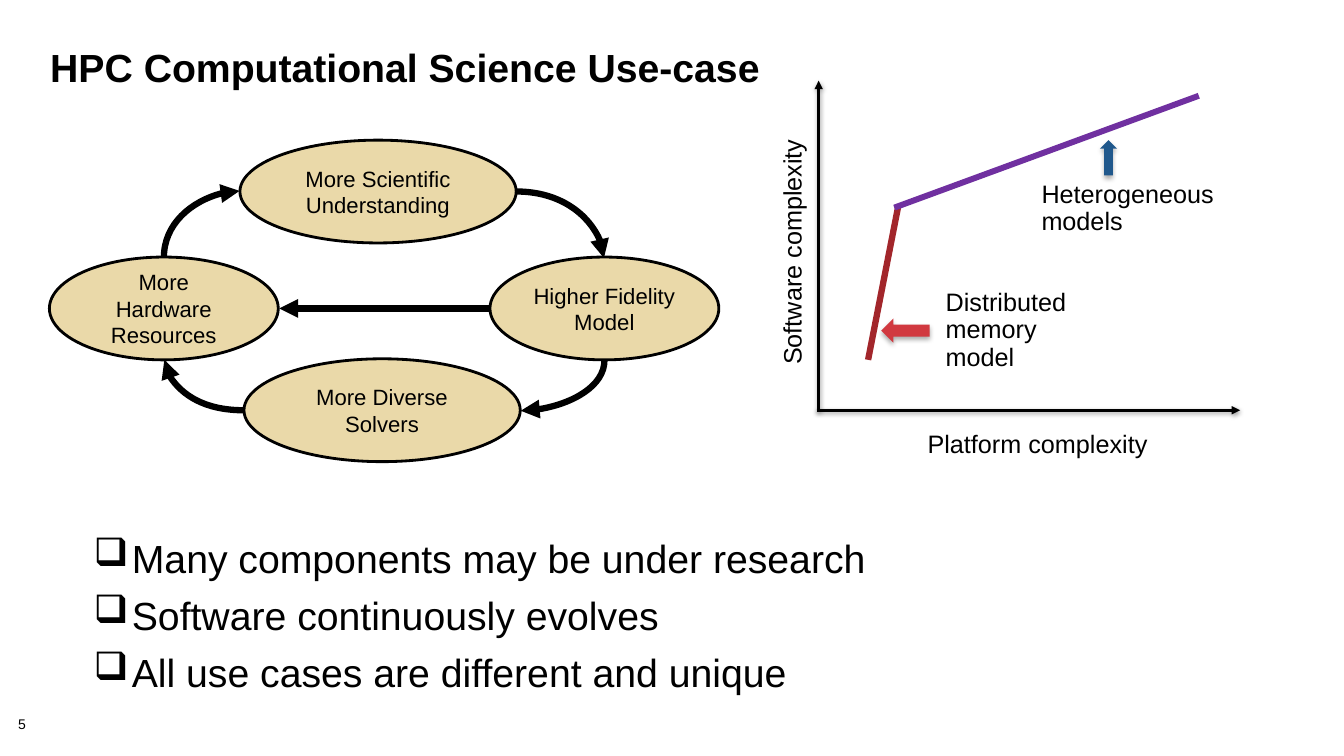
from dataclasses import dataclass, field
from typing import Any, Optional

import lxml.etree
import pptx
import pptx.dml.color
import pptx.enum.shapes
import pptx.enum.text
import pptx.oxml.ns
import pptx.util

Inches = pptx.util.Inches
Pt = pptx.util.Pt
qn = pptx.oxml.ns.qn
Shapes = pptx.enum.shapes.MSO_SHAPE
Connectors = pptx.enum.shapes.MSO_CONNECTOR
Anchor = pptx.enum.text.MSO_ANCHOR
Align = pptx.enum.text.PP_ALIGN
AutoSize = pptx.enum.text.MSO_AUTO_SIZE

COLORS = {
    "black": "000000", "sand": "EAD9A9", "crimson": "A2262B",
    "purple": "7030A0", "red": "D13940", "blue": "20588C",
}
Box = tuple[float, float, float, float]


@dataclass(frozen=True)
class Shadow:
    opacity: int
    blur: float
    distance: float


@dataclass(frozen=True)
class Solid:
    kind: Any
    box: Box
    fill: str
    lines: tuple[str, ...] = ()
    outlined: bool = False
    shadow: Optional[Shadow] = None


@dataclass(frozen=True)
class Line:
    start: tuple[float, float]
    end: tuple[float, float]
    color: str = "black"
    width: float = 4.5
    arrow: bool = True
    shadow: Optional[Shadow] = None


@dataclass(frozen=True)
class Curve:
    """A quarter bend, given by its unrotated box, turn and flip."""
    box: Box
    rotation: int = 0
    flipped: bool = False


@dataclass(frozen=True)
class Label:
    box: Box
    lines: tuple[str, ...]
    size: float = 18
    bold: bool = False
    line_spacing: float = 0.9
    space_before: float = 0
    bullet: str = ""
    rotation: int = 0
    frame: dict[str, Any] = field(default_factory=dict)


def rgb(name: str) -> pptx.dml.color.RGBColor:
    return pptx.dml.color.RGBColor.from_string(COLORS[name])


def apply(target: Any, values: dict[str, Any]) -> None:
    for name, value in values.items():
        setattr(target, name, value)


def set_effects(shape: Any, shadow: Optional[Shadow]) -> None:
    """Replace the theme shadow with the given one, or with none."""
    properties = shape.element.spPr
    for old in properties.findall(qn("a:effectLst")):
        properties.remove(old)
    effects = lxml.etree.SubElement(properties, qn("a:effectLst"))
    if shadow:
        outer = lxml.etree.SubElement(
            effects, qn("a:outerShdw"), blurRad=str(Pt(shadow.blur)),
            dist=str(Pt(shadow.distance)), dir="5400000", rotWithShape="0")
        color = lxml.etree.SubElement(outer, qn("a:srgbClr"), val=COLORS["black"])
        lxml.etree.SubElement(color, qn("a:alpha"), val=str(shadow.opacity * 1000))


def write_lines(frame: Any, lines: tuple[str, ...], paragraph_format: dict[str, Any],
                font_format: dict[str, Any], space_before: float = 0,
                bullet: str = "") -> None:
    for index, text in enumerate(lines):
        paragraph = frame.paragraphs[0] if index == 0 else frame.add_paragraph()
        apply(paragraph, paragraph_format)
        if index and space_before:
            paragraph.space_before = Pt(space_before)
        if bullet:
            properties = paragraph._p.get_or_add_pPr()
            apply_indent = {"marL": Inches(0.38), "indent": -Inches(0.38)}
            for name, value in apply_indent.items():
                properties.set(name, str(value))
            lxml.etree.SubElement(properties, qn("a:buChar"), char=bullet)
        run = paragraph.add_run()
        run.text = text
        apply(run.font, {"name": "Arial", **font_format})
        run.font.color.rgb = rgb("black")


def add_solid(slide: Any, item: Solid) -> None:
    shape = slide.shapes.add_shape(item.kind, *map(Inches, item.box))
    shape.fill.solid()
    shape.fill.fore_color.rgb = rgb(item.fill)
    if item.outlined:
        shape.line.color.rgb = rgb("black")
        shape.line.width = Pt(2)
    else:
        shape.line.fill.background()
    set_effects(shape, item.shadow)
    apply(shape.text_frame, {"word_wrap": True, "vertical_anchor": Anchor.MIDDLE})
    write_lines(shape.text_frame, item.lines, {"alignment": Align.CENTER},
                {"size": Pt(15.8)})


def style_connector(connector: Any, color: str, width: float, arrow: bool,
                    shadow: Optional[Shadow]) -> None:
    connector.line.color.rgb = rgb(color)
    connector.line.width = Pt(width)
    if arrow:
        outline = connector.element.spPr.find(qn("a:ln"))
        lxml.etree.SubElement(outline, qn("a:tailEnd"), type="triangle")
    set_effects(connector, shadow)


def add_line(slide: Any, item: Line) -> None:
    connector = slide.shapes.add_connector(
        Connectors.STRAIGHT, *map(Inches, item.start + item.end))
    style_connector(connector, item.color, item.width, item.arrow, item.shadow)


def add_curve(slide: Any, item: Curve) -> None:
    left, top, width, height = item.box
    connector = slide.shapes.add_connector(
        Connectors.CURVE, *map(Inches, (left, top, left + width, top + height)))
    properties = connector.element.spPr
    properties.find(qn("a:prstGeom")).set("prst", "curvedConnector2")
    transform = properties.find(qn("a:xfrm"))
    transform.set("rot", str(item.rotation * 60000))
    if item.flipped:
        transform.set("flipH", "1")
        transform.set("flipV", "1")
    style_connector(connector, "black", 4.5, True, None)


def add_label(slide: Any, item: Label) -> None:
    shape = slide.shapes.add_textbox(*map(Inches, item.box))
    shape.rotation = item.rotation
    apply(shape.text_frame, {"word_wrap": True, **item.frame})
    write_lines(shape.text_frame, item.lines, {"line_spacing": item.line_spacing},
                {"size": Pt(item.size), "bold": item.bold},
                item.space_before, item.bullet)


AXIS_SHADOW = Shadow(38, 3.1, 1.6)
ARROW_SHADOW = Shadow(32, 3.5, 2.2)
SIDES = ("margin_left", "margin_top", "margin_right", "margin_bottom")
NO_MARGINS = dict.fromkeys(SIDES, 0)
CHART_FRAME = {
    **dict(zip(SIDES, map(Inches, (0.13, 0.1, 0.13, 0.1)))),
    "vertical_anchor": Anchor.MIDDLE, "auto_size": AutoSize.SHAPE_TO_FIT_TEXT,
}
CHART_FRAME_UNWRAPPED = {**CHART_FRAME, "word_wrap": False}

CYCLE_STAGES = [
    Solid(Shapes.OVAL, box, "sand", lines, outlined=True) for box, lines in (
        ((2.38, 1.39, 2.74, 1.02), ("More Scientific Understanding",)),
        ((4.86, 2.55, 2.27, 1.02), ("Higher Fidelity", "Model")),
        ((2.42, 3.56, 2.74, 1.02), ("More Diverse", "Solvers")),
        ((0.49, 2.55, 2.27, 1.02), ("More Hardware", "Resources")),
    )
]
CYCLE_CURVES = [
    Curve((5.12, 1.9, 0.87, 0.66)),
    Curve((5.33, 3.41, 0.5, 0.83), 90),
    Curve((1.63, 3.57, 0.79, 0.5), 180),
    Curve((1.67, 1.85, 0.66, 0.75), 90, flipped=True),
]
LINES = [
    Line((4.86, 3.06), (2.77, 3.06)),
    Line((8.1, 4.07), (12.3, 4.07), width=2, shadow=AXIS_SHADOW),
    Line((8.12, 4.07), (8.12, 0.8), width=2, shadow=AXIS_SHADOW),
    Line((8.61, 3.57), (8.91, 2.04), "crimson", arrow=False),
    Line((8.87, 2.06), (11.89, 0.95), "purple", 4.25, arrow=False),
]
MODEL_ARROWS = [
    Solid(Shapes.LEFT_ARROW, (8.74, 3.16, 0.48, 0.24), "red", shadow=ARROW_SHADOW),
    Solid(Shapes.UP_ARROW, (10.91, 1.39, 0.17, 0.35), "blue", shadow=ARROW_SHADOW),
]
LABELS = [
    Label((0.18, 7.12, 0.56, 0.16), ("5",), 10, frame=NO_MARGINS),
    Label((0.4, 0.45, 12.44, 1), ("HPC Computational Science Use-case",), 28,
          bold=True, line_spacing=0.85),
    Label((9.07, 4.18, 2.46, 0.47), ("Platform complexity",),
          frame=CHART_FRAME_UNWRAPPED),
    Label((6.61, 2.25, 2.52, 0.48), ("Software complexity",), rotation=270,
          frame=CHART_FRAME),
    Label((9.25, 2.77, 1.54, 1.02), ("Distributed", "memory", "model"),
          frame=CHART_FRAME_UNWRAPPED),
    Label((10.2, 1.7, 1.99, 0.75), ("Heterogeneous", "models"),
          frame=CHART_FRAME_UNWRAPPED),
    Label((0.83, 5.25, 9.46, 2.17),
          ("Many components may be under research", "Software continuously evolves",
           "All use cases are different and unique"),
          28, line_spacing=1.0, space_before=7, bullet="❑"),
]


def main() -> None:
    presentation = pptx.Presentation()
    apply(presentation, {"slide_width": Inches(13.33), "slide_height": Inches(7.5)})
    slide = presentation.slides.add_slide(presentation.slide_layouts[6])
    # Cycle, chart strokes, pointers, then all free text
    for draw, items in ((add_solid, CYCLE_STAGES), (add_curve, CYCLE_CURVES),
                        (add_line, LINES), (add_solid, MODEL_ARROWS),
                        (add_label, LABELS)):
        for item in items:
            draw(slide, item)
    presentation.save("out.pptx")


if __name__ == "__main__":
    main()
